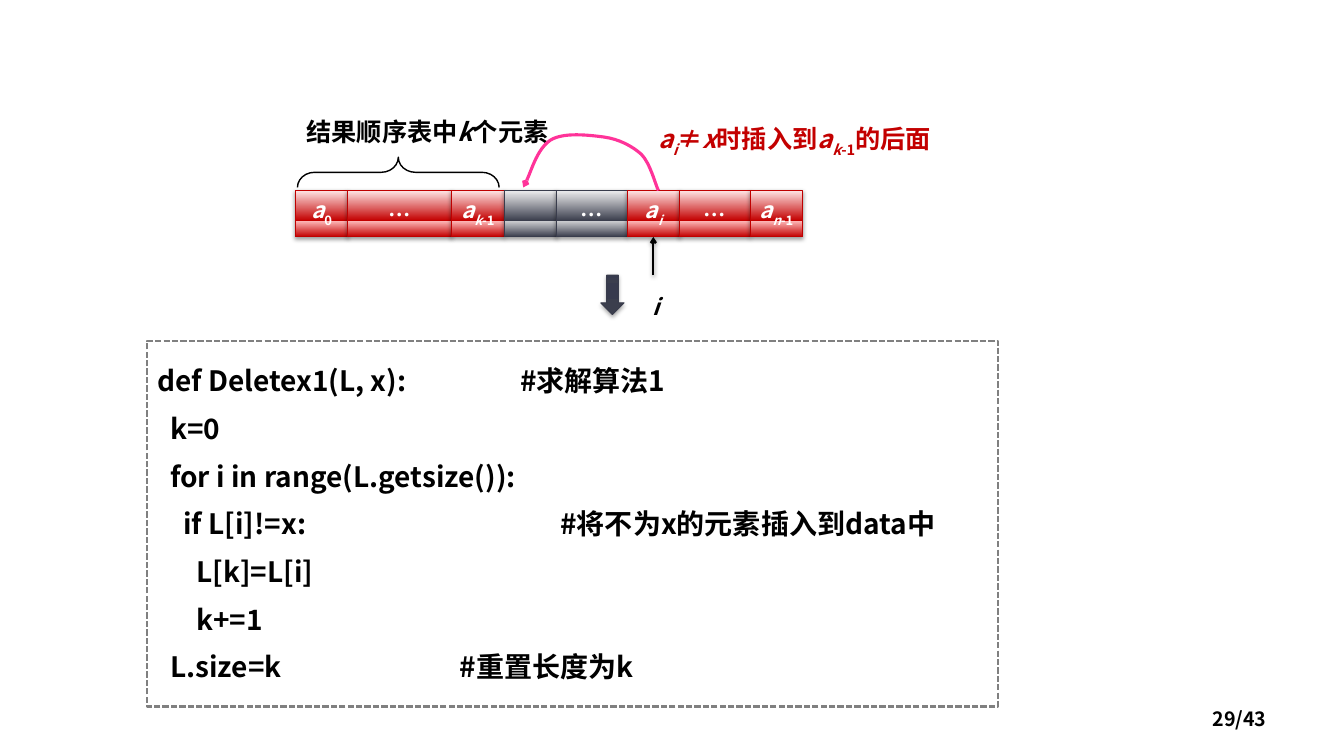
from dataclasses import dataclass

from lxml import etree
from pptx import Presentation
from pptx.dml.color import RGBColor
from pptx.enum.dml import MSO_LINE
from pptx.enum.shapes import MSO_CONNECTOR, MSO_SHAPE
from pptx.enum.text import MSO_ANCHOR, PP_ALIGN
from pptx.oxml.ns import qn
from pptx.util import Pt

PX = 9144  # EMU in one px, 100 px to the inch
RECT, BRACE, DOWN = MSO_SHAPE.RECTANGLE, MSO_SHAPE.LEFT_BRACE, MSO_SHAPE.DOWN_ARROW
LEFT, CENTER, RIGHT = PP_ALIGN.LEFT, PP_ALIGN.CENTER, PP_ALIGN.RIGHT
TOP, MIDDLE = MSO_ANCHOR.TOP, MSO_ANCHOR.MIDDLE
BOTTOM_SIDE = 2


@dataclass(frozen=True)
class Theme:
    font: str = "Noto Sans CJK SC"
    black: str = "000000"
    white: str = "FFFFFF"
    red: str = "C30000"
    pink: str = "FF3399"
    frame: str = "808080"
    code_size: int = 20
    label_size: int = 18
    cell_size: int = 16
    page_size: int = 14


@dataclass(frozen=True)
class Gloss:
    """A glossy gradient: each stop pairs a tint with the base colour."""
    base: str
    line: str
    stops: tuple[tuple[int, str], ...]
    shadow_alpha: int = 38
    shadow_distance: float = 1.6


@dataclass(frozen=True)
class Span:
    text: str
    italic: bool = False
    sub: bool = False


@dataclass(frozen=True)
class Cell:
    width: int
    gloss: Gloss
    spans: tuple[Span, ...] = ()


@dataclass(frozen=True)
class CodeLine:
    level: int
    code: str
    comment: str = ""
    tab: int = 0


THEME = Theme()
RED = Gloss(THEME.red, "BF0000", ((0, "FFA1A1"), (35, "FFBDBD"), (100, "FFE6E6")))
GREY = Gloss("3B3E4D", "393C4C", ((0, "BDBEC4"), (35, "D1D2D5"), (100, "EEEEEF")))
DARK = Gloss("3B3E4D", "393C4C", ((0, "2A2D3B"), (80, "373A4D"), (100, "363A4E")), 35, 1.8)

DOTS = (Span("…"),)
A = Span("a", italic=True)
A_I = (A, Span("i", italic=True, sub=True))
A_K1 = (A, Span("k", italic=True, sub=True), Span("-1", sub=True))
A_N1 = (A, Span("n", italic=True, sub=True), Span("-1", sub=True))
CELLS = (
    Cell(52, RED, (A, Span("0", sub=True))), Cell(103, RED, DOTS), Cell(52, RED, A_K1),
    Cell(52, GREY), Cell(70, GREY, DOTS),
    Cell(52, RED, A_I), Cell(70, RED, DOTS), Cell(52, RED, A_N1),
)
CURVE = ((653, 189), (650, 183), (645, 162), (636, 153), (627, 145), (614, 138), (599, 136),
         (584, 134), (559, 131), (546, 139), (533, 148), (525, 176), (519, 186))
INDENT = 13
CODE = (
    CodeLine(0, "def Deletex1(L, x):", "#求解算法1", 360),
    CodeLine(1, "k=0"),
    CodeLine(1, "for i in range(L.getsize()):"),
    CodeLine(2, "if L[i]!=x:", "#将不为x的元素插入到data中", 400),
    CodeLine(3, "L[k]=L[i]"),
    CodeLine(3, "k+=1"),
    CodeLine(1, "L.size=k", "#重置长度为k", 300),
)


def rgb(value: str) -> RGBColor:
    return RGBColor.from_string(value)


def add_color(parent, value: str):
    return etree.SubElement(parent, qn("a:srgbClr"), val=value)


def add_shadow(effects, alpha: int, distance: float) -> None:
    shadow = etree.SubElement(effects, qn("a:outerShdw"), blurRad=str(Pt(3.1)),
                              dist=str(Pt(distance)), dir="5400000", rotWithShape="0")
    etree.SubElement(add_color(shadow, THEME.black), qn("a:alpha"), val=str(alpha * 1000))


def add_arrowhead(line) -> None:
    etree.SubElement(line._get_or_add_ln(), qn("a:tailEnd"), type="arrow", w="sm", len="sm")


def set_line(line, color: str, width: float) -> None:
    line.color.rgb = rgb(color)
    line.width = Pt(width)


def add_box(page, kind, left: int, top: int, width: int, height: int, fill: str = ""):
    box = page.shapes.add_shape(kind, left * PX, top * PX, width * PX, height * PX)
    box.shadow.inherit = False
    box.line.fill.background()
    if fill:
        box.fill.solid()
        box.fill.fore_color.rgb = rgb(fill)
    else:
        box.fill.background()
    return box


def polish(box, gloss: Gloss) -> None:
    box.fill.gradient()
    box.fill.gradient_angle = 90
    stops = next(box._element.iter(qn("a:gsLst")))
    for old in list(stops):
        stops.remove(old)
    for position, tint in gloss.stops:
        for color in (tint, gloss.base):
            add_color(etree.SubElement(stops, qn("a:gs"), pos=str(position * 1000)), color)
    set_line(box.line, gloss.line, 0.75)
    effects = next(box._element.iter(qn("a:effectLst")))
    add_shadow(effects, gloss.shadow_alpha, gloss.shadow_distance)


def set_frame(box, anchor, side: int = 0, edge: int = 5):
    frame = box.text_frame
    frame.word_wrap = True
    frame.vertical_anchor = anchor
    frame.margin_left = frame.margin_right = side * PX
    frame.margin_top = frame.margin_bottom = edge * PX
    return frame


def set_para(para, spans: tuple[Span, ...], size: int, color: str, align=CENTER) -> None:
    para.alignment = align
    font = para.font
    font.name, font.size, font.bold = THEME.font, Pt(size), True
    font.color.rgb = rgb(color)
    etree.SubElement(para._p.pPr.find(qn("a:defRPr")), qn("a:ea"), typeface=THEME.font)
    for span in spans:
        run = para.add_run()
        run.text = span.text
        if span.italic:
            run.font.italic = True
        if span.sub:
            run._r.get_or_add_rPr().set("baseline", "-30000")


def add_label(page, place: tuple[int, int, int, int], spans: tuple[Span, ...], size: int,
              color: str, edge: int = 5) -> None:
    box = add_box(page, RECT, *place, fill=THEME.white)
    set_para(set_frame(box, TOP, edge=edge).paragraphs[0], spans, size, color)


def add_cells(page, left: int, top: int, height: int) -> list:
    boxes = []
    for cell in CELLS:
        box = add_box(page, RECT, left, top, cell.width, height)
        polish(box, cell.gloss)
        if cell.spans:
            para = set_frame(box, TOP).paragraphs[0]
            set_para(para, cell.spans, THEME.cell_size, THEME.white)
            para.line_spacing = Pt(23)
        boxes.append(box)
        left += cell.width
    return boxes


def add_curve(page) -> None:
    builder = page.shapes.build_freeform(*CURVE[0], scale=PX)
    builder.add_line_segments(CURVE[1:], close=False)
    curve = builder.convert_to_shape()
    curve.shadow.inherit = False
    curve.fill.background()
    set_line(curve.line, THEME.pink, 2.25)
    add_arrowhead(curve.line)
    # Every three points become one Bezier segment
    outline = next(curve._element.iter(qn("a:path")))
    segments = outline.findall(qn("a:lnTo"))
    for start in range(0, len(segments), 3):
        bezier = etree.SubElement(outline, qn("a:cubicBezTo"))
        for segment in segments[start:start + 3]:
            bezier.append(segment[0])
            outline.remove(segment)


def add_pointer(page, cell) -> None:
    x = cell.left + cell.width // 2
    pointer = page.shapes.add_connector(MSO_CONNECTOR.STRAIGHT, x, 273 * PX, x, 235 * PX)
    pointer.end_connect(cell, BOTTOM_SIDE)
    set_line(pointer.line, THEME.black, 1.5)
    add_arrowhead(pointer.line)
    add_shadow(etree.SubElement(pointer._element.spPr, qn("a:effectLst")), 38, 1.6)


def add_code(page) -> None:
    box = add_box(page, RECT, 146, 338, 844, 363)
    set_line(box.line, THEME.frame, 1.5)
    box.line.dash_style = MSO_LINE.SQUARE_DOT
    frame = set_frame(box, MIDDLE, side=10)
    for number, line in enumerate(CODE):
        para = frame.add_paragraph() if number else frame.paragraphs[0]
        text = f"{line.code}\t{line.comment}" if line.comment else line.code
        indent = line.level * INDENT
        para.space_before = Pt(10)
        if indent:
            para._p.get_or_add_pPr().set("marL", str(indent * PX))
        if line.tab:  # tab stops count from the indent
            tabs = etree.SubElement(para._p.get_or_add_pPr(), qn("a:tabLst"))
            etree.SubElement(tabs, qn("a:tab"), pos=str((line.tab - indent) * PX), algn="l")
        set_para(para, (Span(text),), THEME.code_size, THEME.black, LEFT)


def main() -> None:
    deck = Presentation()
    deck.slide_width, deck.slide_height = 1333 * PX, 750 * PX
    page = deck.slides.add_slide(deck.slide_layouts[6])

    # Array cells and their labels
    add_label(page, (280, 111, 288, 46),
              (Span("结果顺序表中"), Span("k", italic=True), Span("个元素")),
              THEME.label_size, THEME.black)
    cells = add_cells(page, 293, 189, 46)
    add_label(page, (640, 117, 296, 46),
              (*A_I, Span("≠"), Span("x", italic=True), Span("时插入到"), *A_K1, Span("的后面")),
              THEME.label_size, THEME.red)

    # Brace, index pointer and insertion curve
    brace = add_box(page, BRACE, 380, 71, 30, 200)
    brace.rotation = 90
    brace.adjustments[0] = 0.565
    set_line(brace.line, THEME.black, 1)
    add_pointer(page, cells[5])
    add_curve(page)
    add_label(page, (634, 291, 34, 32), (Span("i", italic=True),),
              THEME.cell_size, THEME.black, edge=0)

    # Step arrow, page number and code
    polish(add_box(page, DOWN, 596, 273, 23, 39), DARK)
    number = page.shapes.add_textbox(955 * PX, 693 * PX, 311 * PX, 40 * PX)
    set_para(set_frame(number, MIDDLE, side=10).paragraphs[0], (Span("29/43"),),
             THEME.page_size, THEME.black, RIGHT)
    add_code(page)
    deck.save("out.pptx")


if __name__ == "__main__":
    main()
